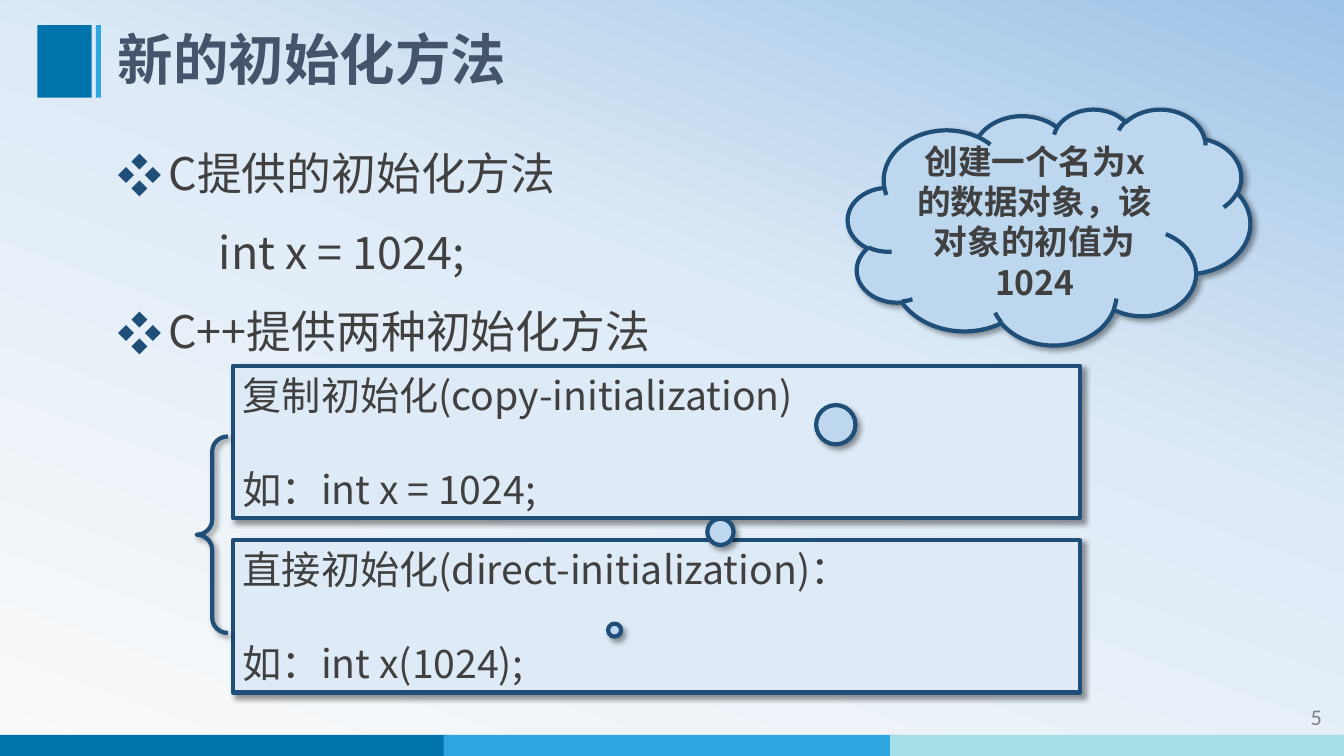
from dataclasses import dataclass
from typing import Any

from lxml.etree import SubElement
from pptx import Presentation
from pptx.dml.color import RGBColor
from pptx.enum.shapes import MSO_SHAPE
from pptx.enum.text import MSO_ANCHOR, MSO_AUTO_SIZE, PP_ALIGN
from pptx.oxml.ns import qn
from pptx.util import Inches, Pt

COLOURS = {
    "deep": "0073AB", "bright": "2EA7E0", "aqua": "A5DEE4",
    "title": "44546A", "text": "404040", "number": "808080",
    "outline": "1F4E79", "panel": "DEEBF7", "cloud": "BDD7EE",
    "shadow": "000000", "sky_start": "FAFAFA", "sky_end": "9DC3E6",
}
CJK_FONT = "Noto Sans CJK SC"
LINE_FACTOR = 1.2


@dataclass(frozen=True)
class Area:
    left: float
    top: float
    width: float
    height: float

    def lengths(self) -> list[int]:
        return [Inches(v) for v in (self.left, self.top, self.width, self.height)]


@dataclass(frozen=True)
class Style:
    size: float
    colour: str = "text"
    name: str = CJK_FONT
    bold: bool = False
    align: Any = PP_ALIGN.LEFT
    anchor: Any = MSO_ANCHOR.TOP
    line_factor: float = LINE_FACTOR


@dataclass(frozen=True)
class Line:
    text: str
    space_before: float = 0
    margin: float = 0
    bullet: str = ""


@dataclass(frozen=True)
class Figure:
    kind: Any
    area: Area
    fill: str = ""
    adjustments: tuple[float, ...] = ()
    lines: tuple[Line, ...] = ()
    style: Style = Style(28)


BARS = [Area(-0.03, 7.29, 4.5, 0.21), Area(4.4, 7.29, 4.5, 0.21),
        Area(8.83, 7.29, 4.5, 0.21), Area(0.37, 0.25, 0.54, 0.72),
        Area(0.95, 0.25, 0.05, 0.72)]
BAR_COLOURS = ["deep", "bright", "aqua", "deep", "bright"]

TITLE = Style(39.6, "title", bold=True, anchor=MSO_ANCHOR.MIDDLE, line_factor=1.08)
NUMBER = Style(16, "number", "Calibri", align=PP_ALIGN.RIGHT, anchor=MSO_ANCHOR.MIDDLE)
CLOUD = Style(24, bold=True, align=PP_ALIGN.CENTER, anchor=MSO_ANCHOR.MIDDLE)

METHODS = (
    Line("C提供的初始化方法", margin=0.5, bullet="❖"),
    Line("int x = 1024;", 18, 1),
    Line("C++提供两种初始化方法", 18, 0.5, "❖"),
)
BLANK_LINE = 28 * LINE_FACTOR
PANELS = [
    ("复制初始化(copy-initialization)", "如：int x = 1024;"),
    ("直接初始化(direct-initialization)：", "如：int x(1024);"),
]
FIGURES = [
    Figure(MSO_SHAPE.RECTANGLE, Area(2.31, 3.63 + 1.73 * row, 8.4, 1.51), "panel",
           lines=(Line(heading), Line(example, BLANK_LINE)))
    for row, (heading, example) in enumerate(PANELS)
] + [
    Figure(MSO_SHAPE.LEFT_BRACE, Area(1.95, 4.33, 0.31, 1.95),
           adjustments=(0.48, 0.5)),
    Figure(MSO_SHAPE.CLOUD_CALLOUT, Area(8.41, 1.08, 3.99, 2.34), "cloud",
           (-1.08, 1.71), (Line("创建一个名为x的数据对象，该对象的初值为1024"),), CLOUD),
]


def rgb(name: str) -> RGBColor:
    return RGBColor.from_string(COLOURS[name])


def set_all(target: Any, values: dict[str, Any]) -> None:
    for name, value in values.items():
        setattr(target, name, value)


def add_colour(parent: Any, name: str) -> Any:
    return SubElement(parent, qn("a:srgbClr"), val=COLOURS[name])


def place(box: Any, area: Area) -> None:
    set_all(box, dict(zip(("left", "top", "width", "height"), area.lengths())))


def set_bullet(para: Any, line: Line) -> None:
    props = para._p.get_or_add_pPr()
    props.set("marL", str(Inches(line.margin)))
    props.set("indent", str(-Inches(line.margin) if line.bullet else 0))
    if line.bullet:
        add_colour(SubElement(props, qn("a:buClr")), "outline")
        SubElement(props, qn("a:buFont"), typeface=CJK_FONT)
        SubElement(props, qn("a:buChar"), char=line.bullet)
    else:
        SubElement(props, qn("a:buNone"))


def write(box: Any, lines: tuple[Line, ...], style: Style) -> None:
    frame = box.text_frame
    set_all(frame, {"word_wrap": True, "auto_size": MSO_AUTO_SIZE.NONE,
                    "vertical_anchor": style.anchor})
    for index, line in enumerate(lines):
        para = frame.add_paragraph() if index else frame.paragraphs[0]
        set_bullet(para, line)
        set_all(para, {"alignment": style.align, "space_before": Pt(line.space_before),
                       "space_after": Pt(0),
                       "line_spacing": Pt(style.size * style.line_factor)})
        span = para.add_run()
        span.text = line.text
        set_all(span.font, {"size": Pt(style.size), "bold": style.bold,
                            "name": style.name})
        span.font.color.rgb = rgb(style.colour)
        SubElement(span.font._element, qn("a:ea"), typeface=style.name)


def add_shadow(shape: Any) -> None:
    effects = shape._element.spPr.find(qn("a:effectLst"))
    shadow = SubElement(effects, qn("a:outerShdw"), blurRad=str(Pt(4)),
                        dist=str(Pt(3)), dir=str(45 * 60000), algn="tl",
                        rotWithShape="0")
    SubElement(add_colour(shadow, "shadow"), qn("a:alpha"), val="40000")


def draw_shape(page: Any, kind: Any, area: Area, fill: str) -> Any:
    shape = page.shapes.add_shape(kind, *area.lengths())
    if fill:
        shape.fill.solid()
        shape.fill.fore_color.rgb = rgb(fill)
    else:
        shape.fill.background()
    shape.line.fill.background()
    shape.shadow.inherit = False
    return shape


def draw_figure(page: Any, figure: Figure) -> None:
    shape = draw_shape(page, figure.kind, figure.area, figure.fill)
    for index, value in enumerate(figure.adjustments):
        shape.adjustments[index] = value
    shape.line.color.rgb = rgb("outline")
    shape.line.width = Pt(3)
    add_shadow(shape)
    if figure.lines:
        write(shape, figure.lines, figure.style)


def paint_background(page: Any) -> None:
    fill = page.background.fill
    fill.gradient()
    gradient = page._element.cSld.find(".//" + qn("a:gradFill"))
    for child in list(gradient):
        gradient.remove(child)
    stops = SubElement(gradient, qn("a:gsLst"))
    for percent, name in ((0, "sky_start"), (58, "panel"), (100, "sky_end")):
        add_colour(SubElement(stops, qn("a:gs"), pos=str(percent * 1000)), name)
    SubElement(gradient, qn("a:lin"), ang=str(290 * 60000), scaled="0")


def main() -> None:
    deck = Presentation()
    set_all(deck, {"slide_width": Inches(13.33), "slide_height": Inches(7.5)})
    page = deck.slides.add_slide(deck.slide_layouts[1])
    paint_background(page)
    for area, colour in zip(BARS, BAR_COLOURS):
        draw_shape(page, MSO_SHAPE.RECTANGLE, area, colour)
    title, body = page.placeholders
    place(title, Area(1.07, 0.25, 10.86, 0.72))
    write(title, (Line("新的初始化方法"),), TITLE)
    place(body, Area(1.07, 1.4, 7.34, 2.43))
    write(body, METHODS, Style(32))
    number = page.shapes.add_textbox(*Area(11.62, 6.91, 1.59, 0.4).lengths())
    write(number, (Line("5"),), NUMBER)
    for figure in FIGURES:
        draw_figure(page, figure)
    deck.save("out.pptx")


if __name__ == "__main__":
    main()
